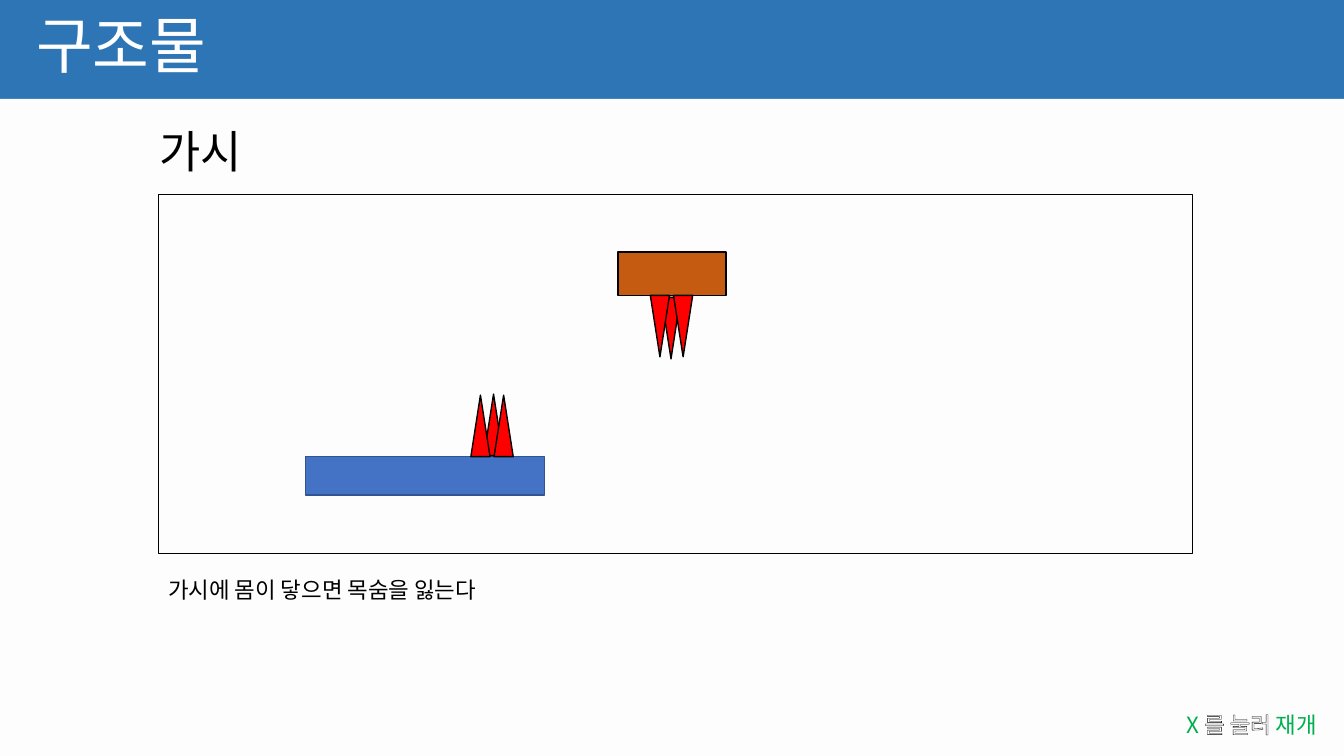
from pptx import Presentation
from pptx.dml.color import RGBColor
from pptx.enum.shapes import MSO_SHAPE
from pptx.enum.text import MSO_ANCHOR, MSO_AUTO_SIZE, PP_ALIGN
from pptx.oxml import parse_xml
from pptx.oxml.ns import nsdecls
from pptx.util import Inches, Pt

RECTANGLE = MSO_SHAPE.RECTANGLE
TRIANGLE = MSO_SHAPE.ISOSCELES_TRIANGLE
TOP, MIDDLE = MSO_ANCHOR.TOP, MSO_ANCHOR.MIDDLE
GROW, FIXED = MSO_AUTO_SIZE.SHAPE_TO_FIT_TEXT, MSO_AUTO_SIZE.NONE
LEFT, RIGHT = PP_ALIGN.LEFT, PP_ALIGN.RIGHT

HEADER_BLUE = RGBColor(0x2E, 0x75, 0xB6)
PAGE = RGBColor(0xFD, 0xFD, 0xFD)
WHITE = RGBColor(0xFF, 0xFF, 0xFF)
BLACK = RGBColor(0x00, 0x00, 0x00)
FLOOR_BLUE = RGBColor(0x44, 0x72, 0xC4)
FLOOR_EDGE = RGBColor(0x32, 0x54, 0x91)
CEILING_BROWN = RGBColor(0xC5, 0x5A, 0x11)
SPIKE_RED = RGBColor(0xFF, 0x00, 0x00)
KEY_GREEN = RGBColor(0x00, 0xB0, 0x50)


class SlideBuilder:
    """Holds the style and the current slide."""

    font_name = "Noto Sans CJK KR"
    spike_size = (0.19, 0.61)

    def __init__(self, presentation):
        """Add a blank slide with the header colour behind it."""
        self.slide = presentation.slides.add_slide(presentation.slide_layouts[6])
        background = self.slide.background.fill
        background.solid()
        background.fore_color.rgb = HEADER_BLUE

    def shape(self, kind, box, fill=None, line=None, rotation=0, parent=None):
        """Draw a preset shape on the slide or in a group."""
        shapes = (parent or self.slide).shapes
        shape = shapes.add_shape(kind, *map(Inches, box))
        shape.shadow.inherit = False
        shape.rotation = rotation
        if fill is None:
            shape.fill.background()
        else:
            shape.fill.solid()
            shape.fill.fore_color.rgb = fill
        if line is None:
            shape.line.fill.background()
        else:
            shape.line.color.rgb = line
            shape.line.width = Pt(1)

    def spikes(self, left, top, back_offset, rotation=0):
        """Draw a group of three spikes, the middle one at the back."""
        group = self.slide.shapes.add_group_shape()
        for across, down in (back_offset, (0.23, 0), (0, 0)):
            box = (left + across, top + down, *self.spike_size)
            self.shape(TRIANGLE, box, SPIKE_RED, BLACK, rotation, group)

    def text(self, box, runs, size, anchor=MIDDLE, auto_size=GROW,
             alignment=LEFT, line_spacing=None, outlined=False):
        """Write one paragraph of coloured runs."""
        frame = self.slide.shapes.add_textbox(*map(Inches, box)).text_frame
        paragraph = frame.paragraphs[0]
        frame_format = {"word_wrap": True, "auto_size": auto_size, "vertical_anchor": anchor}
        paragraph_format = {"alignment": alignment, "line_spacing": line_spacing}
        for target, values in ((frame, frame_format), (paragraph, paragraph_format)):
            for name, value in values.items():
                setattr(target, name, value)
        for content, color in runs:
            run = paragraph.add_run()
            run.text = content
            for name, value in {"name": self.font_name, "size": Pt(size)}.items():
                setattr(run.font, name, value)
            run.font.color.rgb = color
            properties = run.font._element
            properties.append(parse_xml(
                f'<a:ea {nsdecls("a")} typeface="{self.font_name}"/>'))
            if outlined:
                properties.insert(0, parse_xml(
                    f'<a:ln {nsdecls("a")} w="{Pt(0.75)}"><a:solidFill>'
                    f'<a:srgbClr val="{BLACK}"/></a:solidFill></a:ln>'))


def main():
    """Build and save the slide about spikes."""
    presentation = Presentation()
    presentation.slide_width = Inches(13.33)
    presentation.slide_height = Inches(7.5)
    builder = SlideBuilder(presentation)

    builder.shape(RECTANGLE, (0, 0.98, 13.33, 6.52), PAGE)
    builder.text((0.26, 0, 11.5, 0.97), [("구조물", WHITE)], 44,
                 auto_size=FIXED, line_spacing=0.9)
    builder.text((1.48, 1.18, 3, 0.64), [("가시", BLACK)], 32, anchor=TOP)
    builder.text((1.57, 5.66, 7.43, 0.37),
                 [("가시에 몸이 닿으면 목숨을 잃는다", BLACK)], 16)

    builder.shape(RECTANGLE, (3.03, 4.53, 2.37, 0.38), FLOOR_BLUE, FLOOR_EDGE)
    builder.shape(RECTANGLE, (6.13, 2.5, 1.07, 0.43), CEILING_BROWN, BLACK)
    builder.shape(RECTANGLE, (1.57, 1.93, 10.26, 3.56), line=BLACK)
    builder.spikes(4.67, 3.92, (0.13, -0.01))
    builder.spikes(6.45, 2.93, (0.11, 0.02), rotation=180)

    resume_hint = [("X ", KEY_GREEN), ("를 눌러 ", WHITE), ("재개", KEY_GREEN)]
    builder.text((9.31, 7, 3.85, 0.37), resume_hint, 16, alignment=RIGHT, outlined=True)
    presentation.save("out.pptx")


if __name__ == "__main__":
    main()
